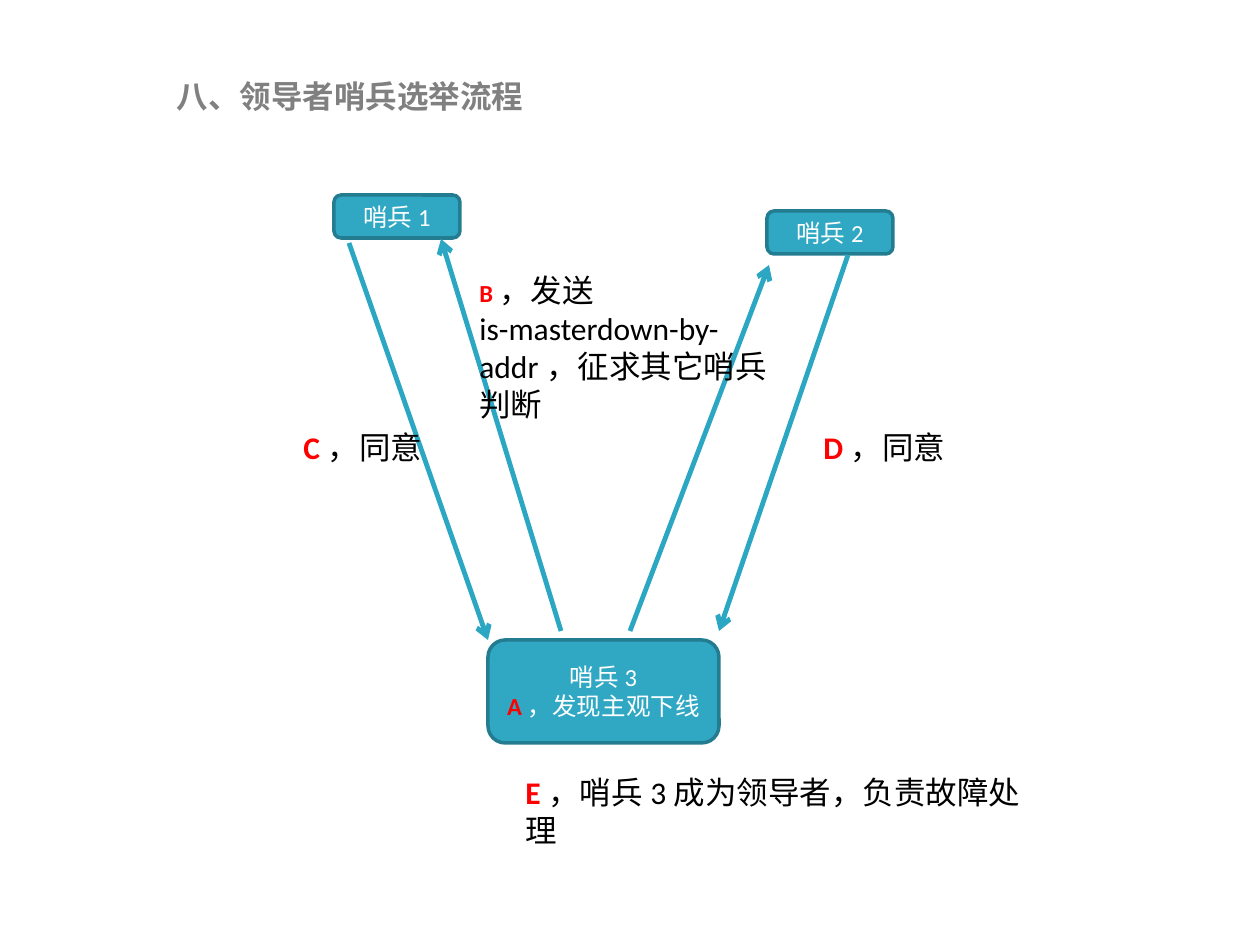
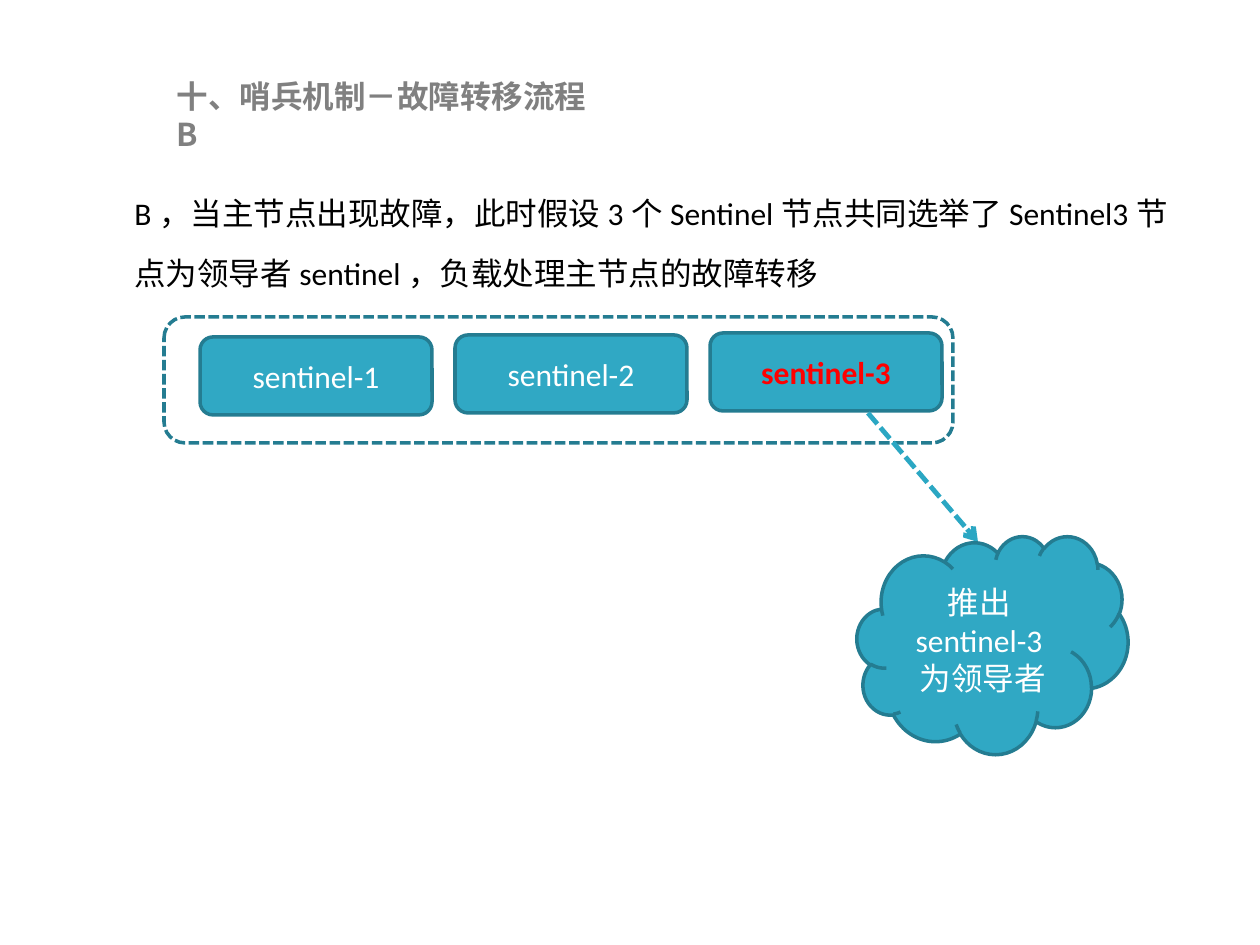
"""Build two slides on sentinel leader election and failover."""
import pptx
import pptx.dml.color
import pptx.enum.dml
import pptx.enum.shapes
import pptx.enum.text
import pptx.oxml.ns
import pptx.util
from lxml import etree

PX = 914400 / 126
FILL, EDGE, ARROW = "30A8C4", "247C91", "2BA7C3"
RED, WHITE, BLACK, GREY = "FF0000", "FFFFFF", "000000", "808080"
SHAPES = pptx.enum.shapes.MSO_SHAPE
ALIGN = pptx.enum.text.PP_ALIGN
ANCHOR = pptx.enum.text.MSO_ANCHOR
DASH = pptx.enum.dml.MSO_LINE.SQUARE_DOT


def px(*lengths):
    """Turn pixel lengths into EMU."""
    return [pptx.util.Emu(round(length * PX)) for length in lengths]


def color(value):
    """Turn a hex string into a colour."""
    return pptx.dml.color.RGBColor.from_string(value)


class Deck:
    """Hold the style and the current slide."""

    def __init__(self, presentation):
        """Keep the presentation and its title-only layout."""
        self.presentation = presentation
        self.layout = presentation.slide_layouts[5]
        self.slide = None

    def format_run(self, run, size, ink, bold=False, font="Calibri"):
        """Set the font of one run."""
        run.font.name = font
        run.font.size = pptx.util.Pt(size)
        run.font.bold = bold
        run.font.color.rgb = color(ink)

    def fill_text(self, frame, lines, size, ink, align=ALIGN.LEFT):
        """Fill a frame with lines, each a text or a red mark and a text."""
        frame.word_wrap = True
        for index, line in enumerate(lines):
            paragraph = frame.add_paragraph() if index else frame.paragraphs[0]
            paragraph.alignment = align
            mark, text = line if isinstance(line, tuple) else ("", line)
            for content, is_mark in ((mark, True), (text, False)):
                if content:
                    run = paragraph.add_run()
                    run.text = content
                    self.format_run(run, size, RED if is_mark else ink, is_mark)

    def start(self, title):
        """Add a slide with its title."""
        self.slide = self.presentation.slides.add_slide(self.layout)
        shape = self.slide.shapes.title
        shape.left, shape.top, shape.width, shape.height = px(164, 71, 456, 50)
        frame = shape.text_frame
        frame.text = title
        frame.word_wrap = True
        frame.auto_size = pptx.enum.text.MSO_AUTO_SIZE.NONE
        frame.vertical_anchor = ANCHOR.TOP
        frame.paragraphs[0].alignment = ALIGN.LEFT
        self.format_run(frame.paragraphs[0].runs[0], 18, GREY, True, "Noto Sans CJK SC")

    def text(self, box, *lines, spacing=None):
        """Add a text box and return its frame."""
        frame = self.slide.shapes.add_textbox(*px(*box)).text_frame
        self.fill_text(frame, lines, 18, BLACK)
        if spacing:
            frame.paragraphs[0].line_spacing = spacing
        return frame

    def node(self, box, *lines, size=18, kind=SHAPES.ROUNDED_RECTANGLE):
        """Add a filled shape with centred text."""
        shape = self.outline(box, kind)
        shape.fill.solid()
        shape.fill.fore_color.rgb = color(FILL)
        shape.text_frame.vertical_anchor = ANCHOR.MIDDLE
        self.fill_text(shape.text_frame, lines, size, WHITE, ALIGN.CENTER)

    def outline(self, box, kind=SHAPES.ROUNDED_RECTANGLE, dash=None):
        """Add an unfilled shape with an edge and return it."""
        shape = self.slide.shapes.add_shape(kind, *px(*box))
        shape.shadow.inherit = False
        shape.fill.background()
        shape.line.color.rgb = color(EDGE)
        shape.line.width = pptx.util.Pt(2)
        shape.line.dash_style = dash
        return shape

    def arrow(self, start, end, dash=None):
        """Add an arrow between two points."""
        connector = self.slide.shapes.add_connector(
            pptx.enum.shapes.MSO_CONNECTOR.STRAIGHT, *px(*start, *end))
        connector.line.color.rgb = color(ARROW)
        connector.line.width = pptx.util.Pt(2.75)
        connector.line.dash_style = dash
        properties = connector._element.spPr
        line = properties.find(pptx.oxml.ns.qn("a:ln"))
        etree.SubElement(line, pptx.oxml.ns.qn("a:tailEnd"), type="arrow")
        etree.SubElement(properties, pptx.oxml.ns.qn("a:effectLst"))


def build_election(deck):
    """Build the leader election slide."""
    deck.start("八、领导者哨兵选举流程")
    deck.node((488, 640, 231, 103), "哨兵3", ("A", "，发现主观下线"), size=14)
    deck.node((767, 211, 126, 43), "哨兵2", size=14)
    deck.node((334, 195, 126, 43), "哨兵1", size=14)
    for start, end in (((561, 631), (441, 239)), ((630, 631), (769, 265)),
                       ((349, 243), (488, 640)), ((848, 255), (719, 631))):
        deck.arrow(start, end)
    request = deck.text((467, 265, 324, 127), ("B", "，发送"),
                        "is-masterdown-by-addr，征求其它哨兵判断")
    request.paragraphs[0].runs[0].font.size = pptx.util.Pt(14)
    deck.text((291, 422, 150, 50), ("C", "，同意"))
    deck.text((811, 422, 152, 50), ("D", "，同意"))
    deck.text((513, 767, 543, 50), ("E", "，哨兵3成为领导者，负责故障处理"))


def build_failover(deck):
    """Build the failover slide."""
    deck.start("十、哨兵机制－故障转移流程B")
    deck.text((122, 165, 1079, 135),
              "B，当主节点出现故障，此时假设3个Sentinel节点共同选举了"
              "Sentinel3节点为领导者sentinel，负载处理主节点的故障转移", spacing=1.6)
    deck.outline((164, 317, 789, 126), dash=DASH)
    for index, label in enumerate(("sentinel-1", "sentinel-2", ("sentinel-3", ""))):
        deck.node((200 + 255 * index, 337 - 2 * index, 232, 78), label)
    deck.arrow((868, 413), (978, 542), DASH)
    deck.node((857, 536, 271, 218), "推出sentinel-3为领导者", kind=SHAPES.CLOUD)


def main():
    """Build and save the presentation."""
    presentation = pptx.Presentation()
    presentation.slide_width, presentation.slide_height = px(1260, 945)
    deck = Deck(presentation)
    build_election(deck)
    build_failover(deck)
    presentation.save("out.pptx")


if __name__ == "__main__":
    main()
